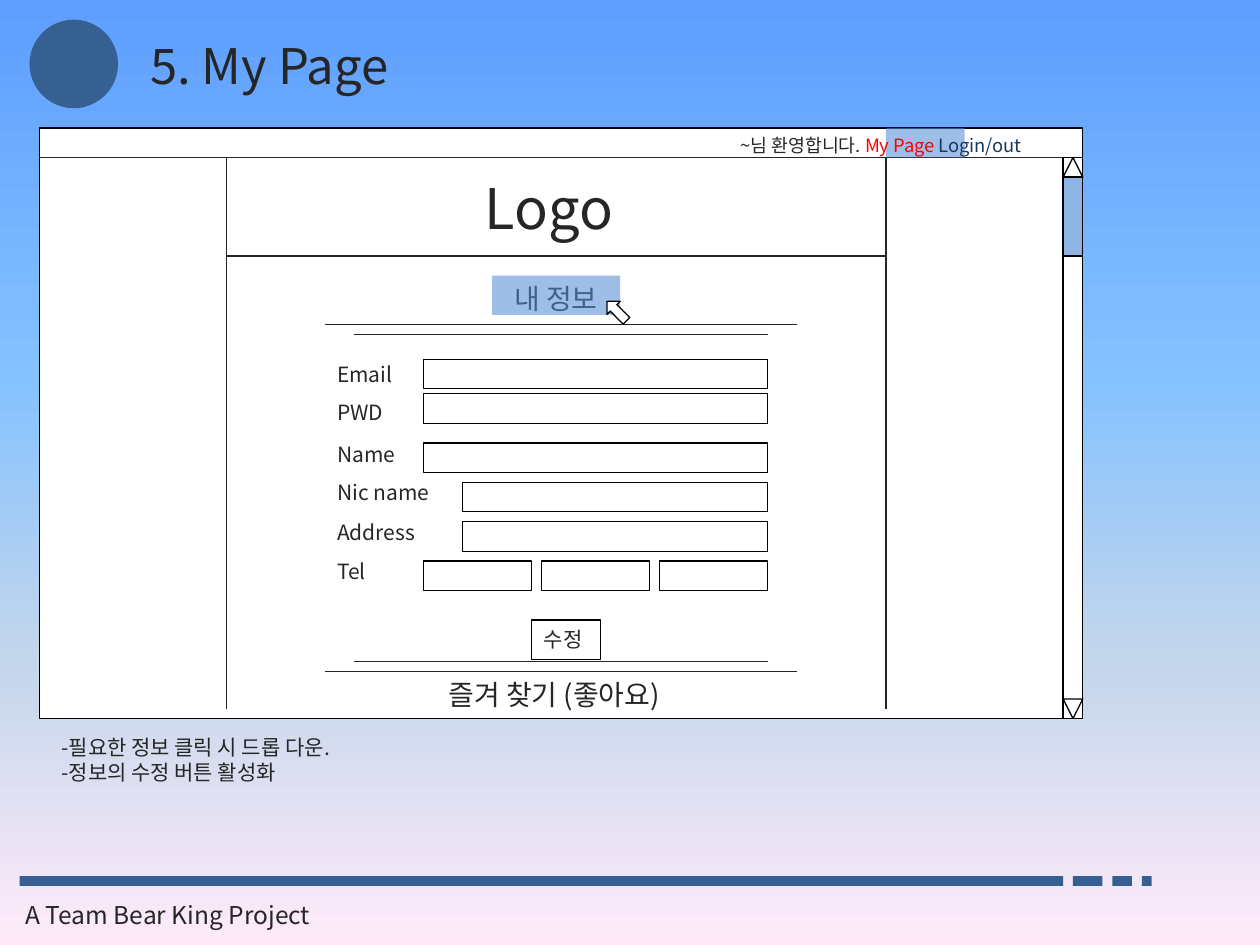
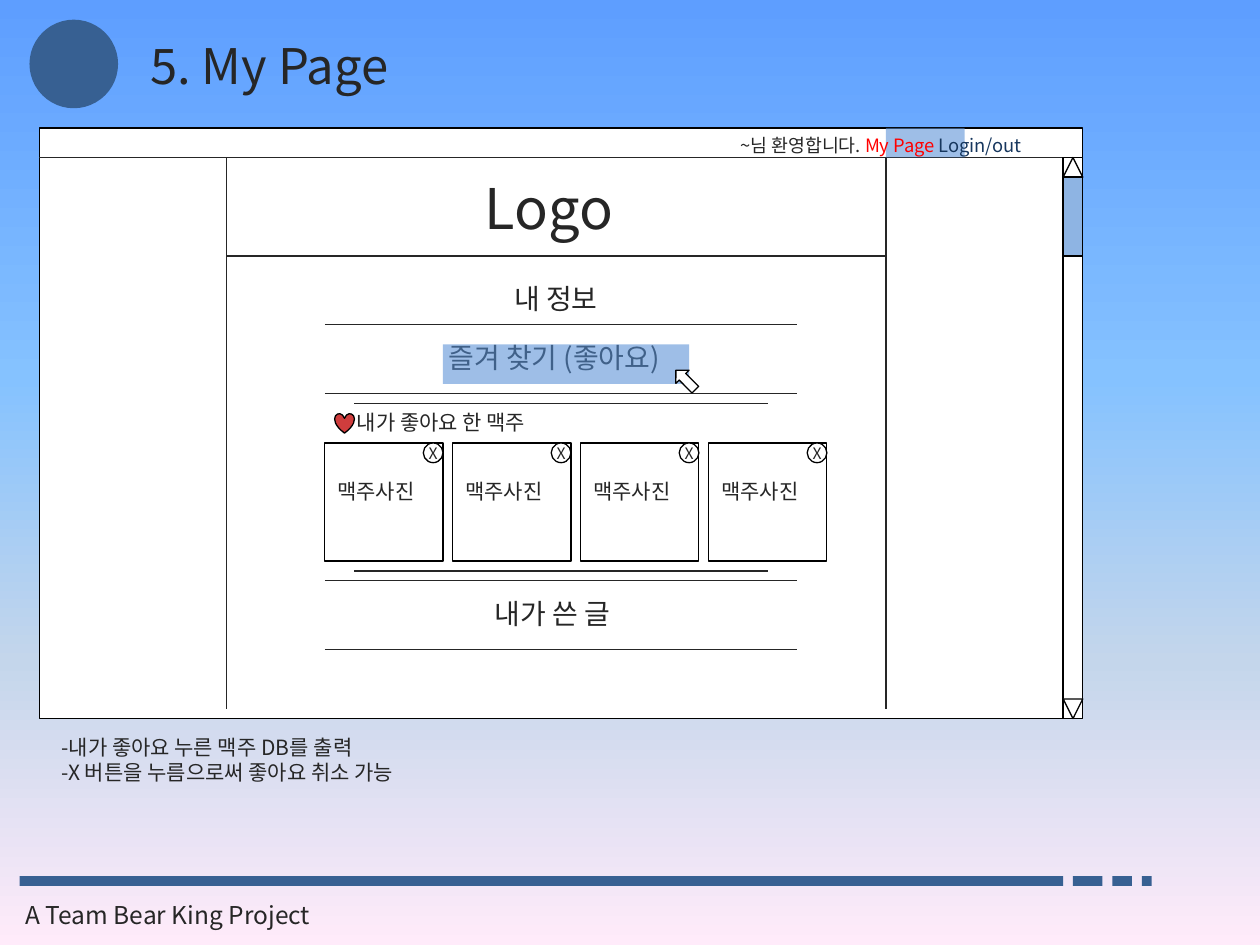
"""Two wireframe slides of a "My Page" screen, laid out on a 128-column grid."""
from dataclasses import dataclass

from lxml import etree
from pptx import Presentation
from pptx import util as u
from pptx.dml.color import RGBColor
from pptx.enum import shapes, text
from pptx.oxml.ns import qn


@dataclass(frozen=True)
class Theme:
    """Colours, font and type sizes of the deck."""
    font: str = "Noto Sans CJK KR"
    ink: str = "262626"
    accent: str = "376092"
    paper: str = "FFFFFF"
    outline: str = "000000"
    marker: str = "558ED5"
    thumb: str = "8EB4E3"
    heart: str = "CF3D3D"
    active: str = "FF0000"
    link: str = "17375E"
    sky: tuple = ((0, "5E9EFF"), (40, "85C2FF"), (70, "C4D6EB"), (100, "FFEBFA"))
    title: float = 28
    logo: float = 32
    section: float = 16
    footer: float = 14
    body: float = 12
    menu: float = 10.5
    badge: float = 9
    stroke: float = 0.75
    marker_alpha: int = 57


THEME = Theme()
KIND = shapes.MSO_SHAPE

# Content
TITLE = "5. My Page"
FOOTER = "A Team Bear King Project"
LOGO = "Logo"
MENU = [("~님 환영합니다. ", THEME.ink), ("My Page ", THEME.active),
        ("Login/out", THEME.link)]
INFO, FAVOURITES, POSTS = "내 정보", "즐겨 찾기 (좋아요)", "내가 쓴 글"

INFO_NOTES = ["-필요한 정보 클릭 시 드롭 다운.", "-정보의 수정 버튼 활성화"]
# label, label top, label width, field left, field top, number of fields
FORM = [
    ("Email", 36.1, 9.1, 43, 36.5, 1),
    ("PWD", 40, 7.9, 43, 40, 1),
    ("Name", 44.2, 9.1, 43, 45, 1),
    ("Nic name", 48.1, 13.3, 47, 49, 1),
    ("Address", 52.1, 12.2, 47, 53, 1),
    ("Tel", 56.1, 6.3, 43, 57, 3),
]
SAVE = "수정"

LIKE_NOTES = ["-내가 좋아요 누른 맥주 DB를 출력", "-X 버튼을 누름으로써 좋아요 취소 가능"]
LIKED = "내가 좋아요 한 맥주"
CARDS = ["맥주사진"] * 4
REMOVE = "X"

# Grid: the slide is 128 cells wide and 96 high
CELL = 25.4 / 128
COLUMNS, ROWS = 128, 96
FRAME_LEFT, FRAME_RIGHT, FRAME_TOP, FRAME_BOTTOM = 4, 110, 13, 73
MENU_LINE, LOGO_LINE, SIDE_END = 16, 26, 72
MAIN_LEFT, MAIN_RIGHT = 23, 90
LIST_LEFT, LIST_RIGHT, INSET = 33, 81, 3
FIELD_RIGHT, FIELD_HEIGHT = LIST_RIGHT - INSET, 3
TEXT_HEIGHT, SECTION_HEIGHT = 3.8, 4.7


def grid(*cells):
    """Turn grid cells into lengths."""
    return [u.Cm(cell * CELL) for cell in cells]


def rgb(code):
    """Turn a hex code into a colour."""
    return RGBColor.from_string(code)


def add_text(frame, paragraphs, size):
    """Write paragraphs, each a list of (wording, colour) runs."""
    for index, spans in enumerate(paragraphs):
        para = frame.paragraphs[0] if index == 0 else frame.add_paragraph()
        for wording, colour in spans:
            span = para.add_run()
            span.text = wording
            span.font.size = u.Pt(size)
            span.font.name = THEME.font
            span.font.color.rgb = rgb(colour)
            east_asian = etree.SubElement(span.font._element, qn("a:ea"))
            east_asian.set("typeface", THEME.font)


def add_label(page, area, paragraphs, size, wrap=False):
    """Add a text box that fits its text."""
    if isinstance(paragraphs, str):
        paragraphs = [[(paragraphs, THEME.ink)]]
    frame = page.shapes.add_textbox(*grid(*area)).text_frame
    frame.word_wrap = wrap
    frame.auto_size = text.MSO_AUTO_SIZE.SHAPE_TO_FIT_TEXT
    add_text(frame, paragraphs, size)


def add_block(holder, area, kind=KIND.RECTANGLE, fill=THEME.paper, outlined=True):
    """Add a flat preset shape to a slide or group."""
    shape = holder.shapes.add_shape(kind, *grid(*area))
    shape.shadow.inherit = False
    shape.fill.solid()
    shape.fill.fore_color.rgb = rgb(fill)
    if outlined:
        shape.line.color.rgb = rgb(THEME.outline)
        shape.line.width = u.Pt(THEME.stroke)
    else:
        shape.line.fill.background()
    return shape


def add_line(page, left, top, right, bottom):
    """Add a thin straight line."""
    line = page.shapes.add_connector(shapes.MSO_CONNECTOR.STRAIGHT,
                                     *grid(left, top, right, bottom))
    line.line.color.rgb = rgb(THEME.ink)
    line.line.width = u.Pt(THEME.stroke)
    etree.SubElement(line._element.spPr, qn("a:effectLst"))


def add_rule(page, row, inset=0):
    """Add a horizontal rule across the list column."""
    add_line(page, LIST_LEFT + inset, row, LIST_RIGHT - inset, row)


def add_marker(page, area):
    """Add a see-through highlight."""
    marker = add_block(page, area, fill=THEME.marker, outlined=False)
    colour = marker._element.spPr.find(qn("a:solidFill"))[0]
    etree.SubElement(colour, qn("a:alpha")).set("val", str(THEME.marker_alpha * 1000))


def add_selection(page, left, top, width):
    """Highlight a section heading and put the pointer on its corner."""
    add_marker(page, (left, top, width, 4))
    pointer = add_block(page, (left + width - 1.3, top + 2.2, 1.9, 2.8), KIND.UP_ARROW)
    pointer.rotation = 315.2


def add_section(page, wording, left, top, width):
    """Add a section heading."""
    add_label(page, (left, top, width, SECTION_HEIGHT), wording, THEME.section)


def paint_sky(page):
    """Fill the background with the vertical gradient."""
    fill = page.background.fill
    fill.gradient()
    fill.gradient_angle = 270
    stops = next(page._element.iter(qn("a:gsLst")))
    for stop in list(stops):
        stops.remove(stop)
    for place, colour in THEME.sky:
        stop = etree.SubElement(stops, qn("a:gs"), pos=str(place * 1000))
        etree.SubElement(stop, qn("a:srgbClr"), val=colour)


def add_scrollbar(page):
    """Add the scroll bar at the right of the browser frame."""
    size = 2
    left = FRAME_RIGHT - size
    add_block(page, (left, MENU_LINE, size, FRAME_BOTTOM - MENU_LINE))
    add_block(page, (left, MENU_LINE, size, size), KIND.ISOSCELES_TRIANGLE)
    down = add_block(page, (left, FRAME_BOTTOM - size, size, size),
                     KIND.ISOSCELES_TRIANGLE)
    down.rotation = 180
    add_block(page, (left, MENU_LINE + size, size, 8), fill=THEME.thumb)


def add_page(deck, notes):
    """Add a slide with the title, footer, browser frame and notes."""
    page = deck.slides.add_slide(deck.slide_layouts[6])
    paint_sky(page)
    for left, width in ((2, 106), (109, 3), (113, 2), (116, 1)):
        add_block(page, (left, 89, width, 1), fill=THEME.accent, outlined=False)
    add_label(page, (1.3, 90.8, 37.5, 4.4), FOOTER, THEME.footer)
    add_block(page, (3, 2, 9, 9), KIND.OVAL, THEME.accent, outlined=False)
    add_label(page, (14, 3, 31.7, 7.3), TITLE, THEME.title)

    add_block(page, (FRAME_LEFT, FRAME_TOP, FRAME_RIGHT - FRAME_LEFT,
                     FRAME_BOTTOM - FRAME_TOP))
    for column in (MAIN_LEFT, MAIN_RIGHT):
        add_line(page, column, MENU_LINE, column, SIDE_END)
    add_line(page, FRAME_LEFT, MENU_LINE, FRAME_RIGHT, MENU_LINE)
    add_line(page, MAIN_LEFT, LOGO_LINE, MAIN_RIGHT, LOGO_LINE)
    add_label(page, (48, 17, 17.9, 8.2), LOGO, THEME.logo)
    add_marker(page, (MAIN_RIGHT, FRAME_TOP, 8, 3))
    add_scrollbar(page)
    add_label(page, (74, FRAME_TOP, 36, 3.6), [MENU], THEME.menu)

    add_section(page, INFO, 51, 28, 12.2)
    add_rule(page, 33)
    add_label(page, (5, 74, 105, 6.4), [[(note, THEME.ink)] for note in notes],
              THEME.body, wrap=True)
    return page


def add_fields(page, left, top, count):
    """Share the space up to the right edge among equal input fields."""
    gap = 1
    width = (FIELD_RIGHT - left - gap * (count - 1)) / count
    holder = page.shapes.add_group_shape() if count > 1 else page
    for index in range(count):
        add_block(holder, (left + index * (width + gap), top, width, FIELD_HEIGHT))


def add_info_page(deck):
    """Build the slide with the open personal details form."""
    page = add_page(deck, INFO_NOTES)
    add_selection(page, 50, 28, 13)
    add_rule(page, 34, INSET)
    for label, top, width, field_left, field_top, count in FORM:
        add_label(page, (LIST_LEFT, top, width, TEXT_HEIGHT), label, THEME.body)
        add_fields(page, field_left, field_top, count)
    add_block(page, (54, 63, 7, 4))
    add_label(page, (54, 63, 6.9, TEXT_HEIGHT), SAVE, THEME.body)
    add_rule(page, 67.2, INSET)
    add_rule(page, 68.2)
    add_section(page, FAVOURITES, 44.3, 68.2, 27.3)


def add_card(page, left, top, caption):
    """Add a picture card with its remove button."""
    size, button = 12, 2
    add_block(page, (left, top, size, size))
    add_label(page, (left, top + 3, 11.3, TEXT_HEIGHT), caption, THEME.body)
    badge = add_block(page, (left + size - button, top, button, button), KIND.OVAL)
    frame = badge.text_frame
    frame.margin_left = frame.margin_right = frame.margin_top = frame.margin_bottom = 0
    frame.word_wrap = False
    frame.vertical_anchor = text.MSO_ANCHOR.MIDDLE
    add_text(frame, [[(REMOVE, THEME.ink)]], THEME.badge)
    frame.paragraphs[0].alignment = text.PP_ALIGN.CENTER


def add_likes_page(deck):
    """Build the slide with the open favourites list."""
    page = add_page(deck, LIKE_NOTES)
    add_section(page, FAVOURITES, 44.3, 34, 27.3)
    add_rule(page, 40)
    add_selection(page, 45, 35, 25)
    add_rule(page, 41, INSET)
    add_label(page, (35, 41, 22, TEXT_HEIGHT), LIKED, THEME.body)
    add_block(page, (34, 42, 2, 2), KIND.HEART, THEME.heart)
    for index, caption in enumerate(CARDS):
        add_card(page, LIST_LEFT + 13 * index, 45, caption)
    add_rule(page, 58, INSET)
    add_rule(page, 59)
    add_section(page, POSTS, 49, 60, 16)
    add_rule(page, 66)


def main():
    """Build and save the deck."""
    deck = Presentation()
    deck.slide_width, deck.slide_height = grid(COLUMNS, ROWS)
    add_info_page(deck)
    add_likes_page(deck)
    deck.save("out.pptx")


main()
